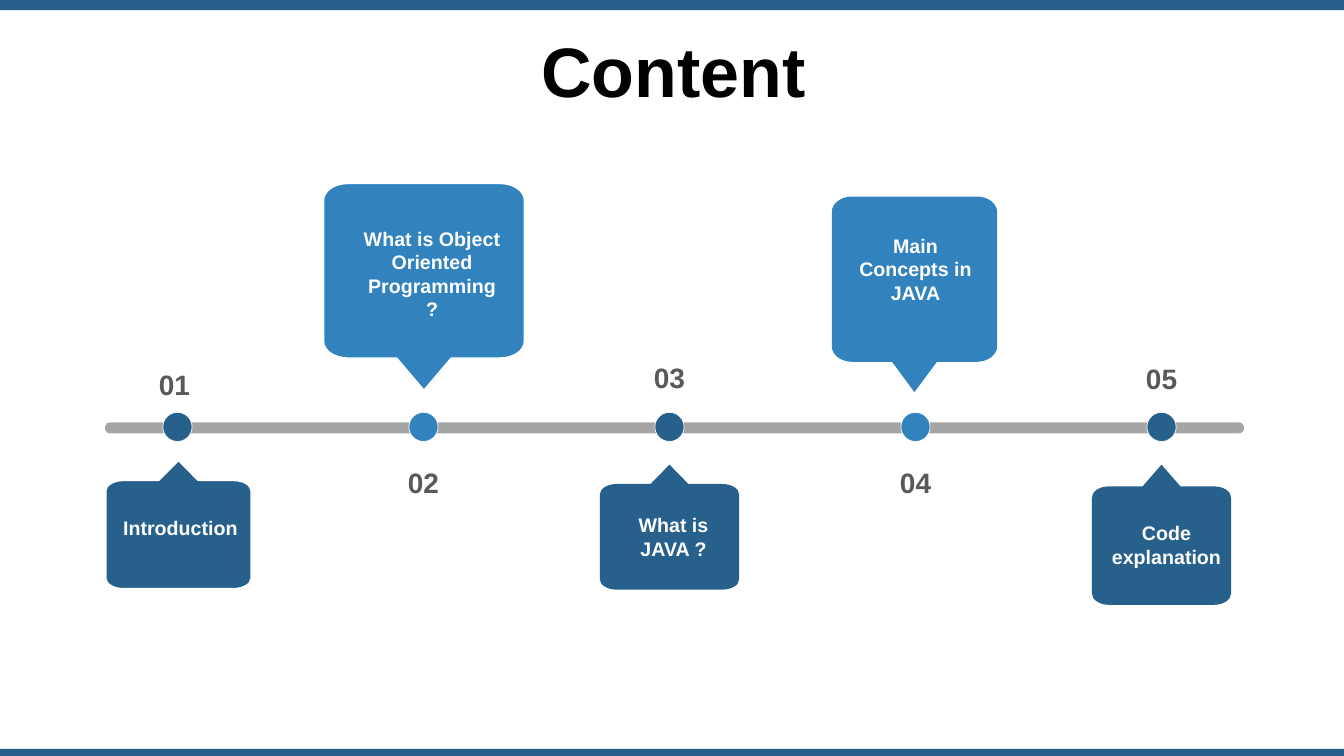
import math
from dataclasses import dataclass

import lxml.etree
import pptx
import pptx.dml.color
import pptx.enum.shapes
import pptx.enum.text
import pptx.oxml.ns
import pptx.util

Inches = pptx.util.Inches
Pt = pptx.util.Pt
RGBColor = pptx.dml.color.RGBColor
Shape = pptx.enum.shapes.MSO_SHAPE
qn = pptx.oxml.ns.qn

NAVY = RGBColor(0x28, 0x60, 0x8C)
BLUE = RGBColor(0x32, 0x82, 0xBE)
GRAY = RGBColor(0x80, 0x80, 0x80)
DARK = RGBColor(0x59, 0x59, 0x59)
WHITE = RGBColor(0xFF, 0xFF, 0xFF)
BLACK = RGBColor(0, 0, 0)

START, STEP, DOT = 1.76, 2.44, 0.29
BEND = 0.55


@dataclass
class Box:
    left: float
    top: float
    width: float
    height: float

    def emu(self) -> tuple[int, ...]:
        return tuple(Inches(v) for v in (self.left, self.top, self.width, self.height))


@dataclass
class Step:
    title: str
    bubble: Box
    label: Box
    number: Box
    up: bool = False
    rim: float = 0


STEPS = [
    Step("Introduction", Box(1.05, 4.57, 1.44, 1.27),
         Box(1, 5.07, 1.58, 0.34), Box(1.04, 3.6, 1.38, 0.44), rim=1),
    Step("What is Object Oriented Programming ?", Box(3.21, 1.82, 1.99, 2.05),
         Box(3.5, 2.2, 1.57, 0.81), Box(3.51, 4.57, 1.38, 0.44), up=True, rim=1),
    Step("What is JAVA ?", Box(5.95, 4.61, 1.38, 1.24),
         Box(5.99, 5.04, 1.38, 0.57), Box(5.95, 3.53, 1.38, 0.77)),
    Step("Main Concepts in JAVA", Box(8.25, 1.95, 1.64, 1.94),
         Box(8.39, 2.27, 1.38, 0.81), Box(8.39, 4.57, 1.38, 0.44), up=True),
    Step("Code explanation", Box(10.83, 4.61, 1.38, 1.39),
         Box(10.88, 5.12, 1.38, 0.57), Box(10.83, 3.54, 1.38, 0.44)),
]


def paint(shape, fill: RGBColor, rim: float = 0) -> None:
    shape.shadow.inherit = False
    shape.fill.solid()
    shape.fill.fore_color.rgb = fill
    if rim:
        shape.line.color.rgb = WHITE
        shape.line.width = Pt(rim)
    else:
        shape.line.fill.background()


def draw(slide, kind: Shape, box: Box, fill: RGBColor, rim: float = 0):
    shape = slide.shapes.add_shape(kind, *box.emu())
    paint(shape, fill, rim)
    return shape


def write(slide, text: str, box: Box, size: float, color: RGBColor):
    frame = slide.shapes.add_textbox(*box.emu()).text_frame
    frame.text = text
    frame.word_wrap = True
    frame.auto_size = pptx.enum.text.MSO_AUTO_SIZE.SHAPE_TO_FIT_TEXT
    line = frame.paragraphs[0]
    line.alignment = pptx.enum.text.PP_ALIGN.CENTER
    font = line.runs[0].font
    font.name, font.size, font.bold = "Arial", Pt(size), True
    font.color.rgb = color
    return frame


def outline() -> list[tuple[float, float]]:
    """Bubble in a unit square: tip, notch, start and end of each corner, notch."""
    tip, notch, rx, ry = 0.155, 0.136, 0.122, 0.08
    return [(0.5, 0), (0.5 + notch, tip),
            (1 - rx, tip), (1, tip + ry), (1, 1 - ry), (1 - rx, 1),
            (rx, 1), (0, 1 - ry), (0, tip + ry), (rx, tip),
            (0.5 - notch, tip)]


def curve(start, end, corner: tuple[int, int]) -> None:
    """Turn the straight cut from start to end into a rounded corner."""
    bend = lxml.etree.Element(qn("a:cubicBezTo"))
    for point in (start[0], end[0]):
        spot = {}
        for axis, goal in zip("xy", corner):
            value = int(point.get(axis))
            spot[axis] = str(math.floor(value + BEND * (goal - value)))
        lxml.etree.SubElement(bend, qn("a:pt"), spot)
    bend.append(end[0])
    end.getparent().replace(end, bend)


def bubble(slide, step: Step, fill: RGBColor) -> None:
    box = step.bubble
    points = [(Inches(box.left + box.width * x),
               Inches(box.top + box.height * (1 - y if step.up else y)))
              for x, y in outline()]
    form = slide.shapes.build_freeform(*points[0])
    form.add_line_segments(points[1:], close=True)
    shape = form.convert_to_shape()
    paint(shape, fill, step.rim)
    cuts = list(shape._element.iter(qn("a:lnTo")))[1:9]
    for index in range(0, 8, 2):
        start, end = cuts[index:index + 2]
        # Corners alternate between flat-to-upright and upright-to-flat
        flat, side = (start, end) if index % 4 == 0 else (end, start)
        curve(start, end, (int(side[0].get("x")), int(flat[0].get("y"))))


def main() -> None:
    deck = pptx.Presentation()
    deck.slide_width, deck.slide_height = Inches(13.33), Inches(7.5)
    slide = deck.slides.add_slide(deck.slide_layouts[6])

    # Edge bands
    draw(slide, Shape.RECTANGLE, Box(0, 0, 13.33, 0.1), NAVY)
    draw(slide, Shape.RECTANGLE, Box(0, 7.43, 13.33, 0.07), NAVY)

    # Title
    frame = write(slide, "Content", Box(0.35, 0.37, 12.66, 0.79), 50, BLACK)
    frame.auto_size = pptx.enum.text.MSO_AUTO_SIZE.NONE
    frame.vertical_anchor = pptx.enum.text.MSO_ANCHOR.MIDDLE
    frame.paragraphs[0].line_spacing = 0.8
    frame.paragraphs[0].space_before = Pt(10)

    # Time line
    track = draw(slide, Shape.ROUNDED_RECTANGLE, Box(1.04, 4.19, 11.3, 0.11), GRAY)
    track.adjustments[0] = 0.5
    color = track._element.spPr.find(qn("a:solidFill"))[0]
    lxml.etree.SubElement(color, qn("a:alpha"), val="70000")

    # Steps
    for index, step in enumerate(STEPS):
        fill = BLUE if step.up else NAVY
        left = START + STEP * index - DOT / 2
        draw(slide, Shape.OVAL, Box(left, 4.09, DOT, DOT), fill, 0.5)
        bubble(slide, step, fill)
        write(slide, step.title, step.label, 14, WHITE)
        write(slide, f"{index + 1:02}", step.number, 20, DARK)

    deck.save("out.pptx")


if __name__ == "__main__":
    main()
